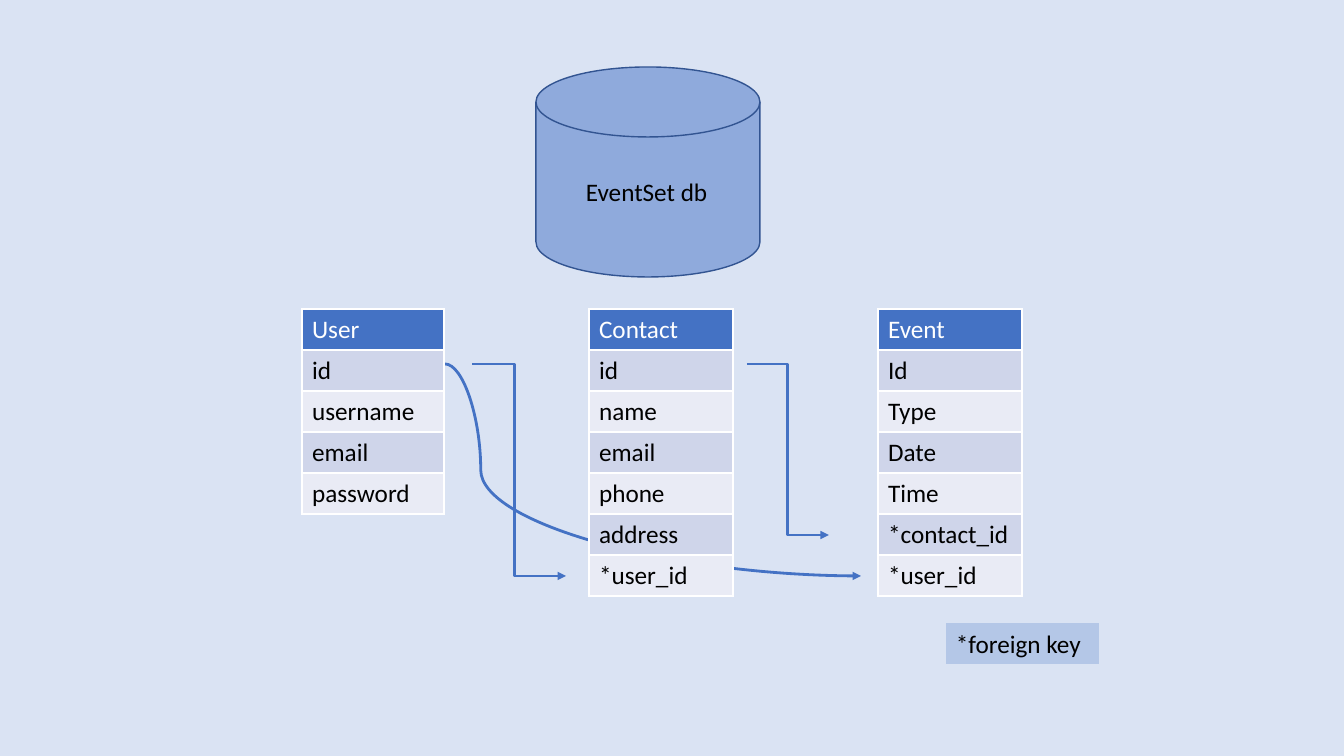
from lxml.etree import SubElement
from pptx import Presentation
from pptx.dml.color import RGBColor
from pptx.enum.shapes import MSO_CONNECTOR, MSO_SHAPE
from pptx.oxml.ns import qn
from pptx.util import Emu, Pt

THEME = {
    "font": "Calibri",
    "size": Pt(18),
    "page": RGBColor.from_string("DAE3F3"),
    "accent": RGBColor.from_string("4472C4"),
    "disk": RGBColor.from_string("8FAADC"),
    "disk_line": RGBColor.from_string("325491"),
    "key": RGBColor.from_string("B4C7E7"),
    "bands": (RGBColor.from_string("E9EBF5"), RGBColor.from_string("CFD5EA")),
    "light": RGBColor.from_string("FFFFFF"),
    "dark": RGBColor.from_string("000000"),
}
ROW_HEIGHT = 41
TABLE_TOP = 309
ID_LEVEL = 364


def px(length):
    return Emu(round(length * 914400 / 100.8))


def write(frame, text, color):
    frame.text = text
    font = frame.paragraphs[0].font
    font.name, font.size, font.bold = THEME["font"], THEME["size"], False
    font.color.rgb = color


deck = Presentation()
deck.slide_width, deck.slide_height = px(1344), px(756)
page = deck.slides.add_slide(deck.slide_layouts[6])
page.background.fill.solid()
page.background.fill.fore_color.rgb = THEME["page"]

# Foreign key links: kind, start x, end x, end y, bend position in 1/100000
# The curve runs behind the tables, so links come first
links = [
    (MSO_CONNECTOR.CURVE, 445, 861, 576, 8600),
    (MSO_CONNECTOR.ELBOW, 472, 566, 576, 45400),
    (MSO_CONNECTOR.ELBOW, 747, 829, 535, 50000),
]
for kind, start, end, level, bend in links:
    link = page.shapes.add_connector(kind, px(start), px(ID_LEVEL), px(end), px(level))
    link.line.color.rgb = THEME["accent"]
    link.line.width = Pt(2)
    SubElement(link.line._get_or_add_ln(), qn("a:tailEnd"), type="triangle")
    properties = link._element.spPr
    SubElement(properties, qn("a:effectLst"))
    guides = properties.find(qn("a:prstGeom")).get_or_add_avLst()
    SubElement(guides, qn("a:gd"), name="adj1", fmla=f"val {bend}")

disk = page.shapes.add_shape(
    MSO_SHAPE.FLOWCHART_MAGNETIC_DISK, px(536), px(67), px(224), px(210)
)
disk.shadow.inherit = False
disk.fill.solid()
disk.fill.fore_color.rgb = THEME["disk"]
disk.line.color.rgb = THEME["disk_line"]
disk.line.width = Pt(1)

# Database tables: left, width, heading and fields
tables = [
    (302, 142, ["User", "id", "username", "email", "password"]),
    (589, 144, ["Contact", "id", "name", "email", "phone", "address", "*user_id"]),
    (878, 144, ["Event", "Id", "Type", "Date", "Time", "*contact_id", "*user_id"]),
]
for left, width, fields in tables:
    table = page.shapes.add_table(
        len(fields), 1, px(left), px(TABLE_TOP), px(width), px(ROW_HEIGHT * len(fields))
    ).table
    for row, field in enumerate(fields):
        cell = table.cell(row, 0)
        write(cell.text_frame, field, THEME["dark"] if row else THEME["light"])
        cell.fill.solid()
        cell.fill.fore_color.rgb = THEME["bands"][row % 2] if row else THEME["accent"]

labels = [
    ("EventSet db", 576, 171, 144, None),
    ("*foreign key", 946, 623, 153, THEME["key"]),
]
for text, left, top, width, fill in labels:
    box = page.shapes.add_textbox(px(left), px(top), px(width), px(ROW_HEIGHT))
    box.text_frame.word_wrap = True
    write(box.text_frame, text, THEME["dark"])
    if fill:
        box.fill.solid()
        box.fill.fore_color.rgb = fill

deck.save("out.pptx")
